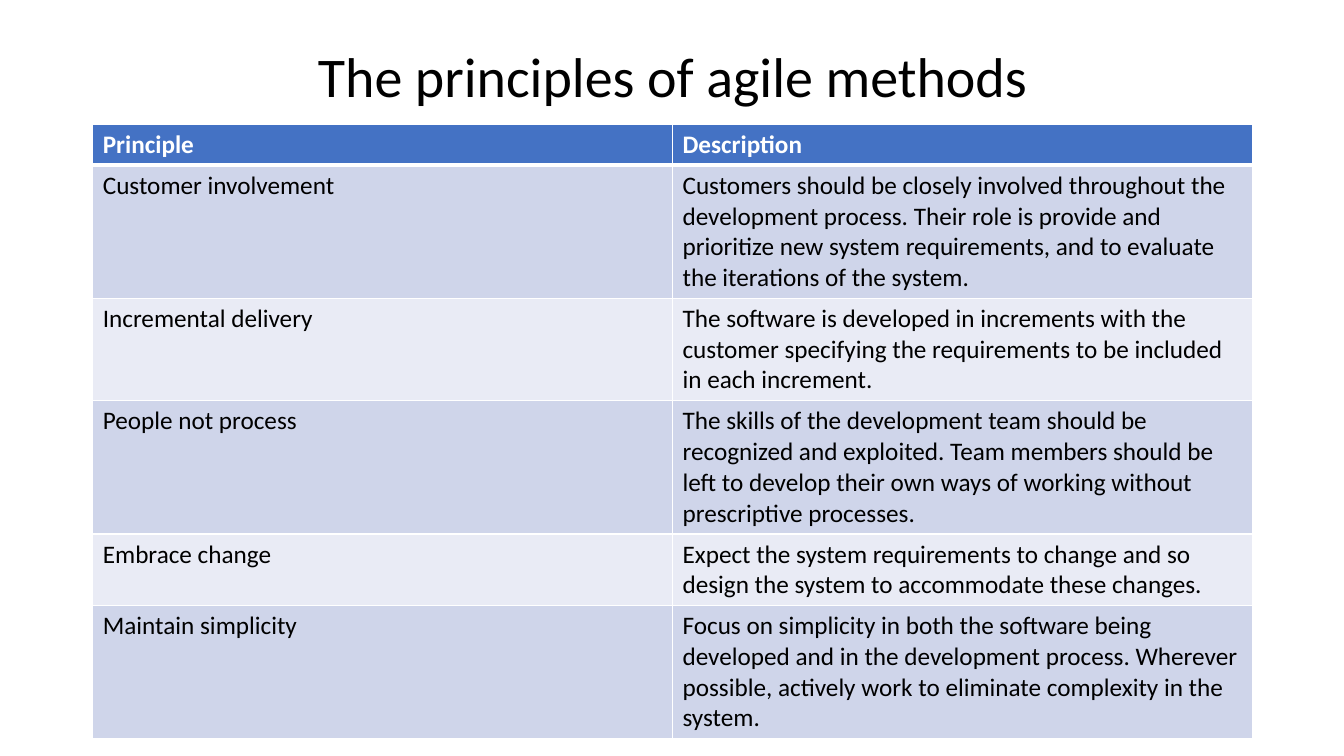
from lxml.etree import SubElement
from pptx import Presentation
from pptx.dml.color import RGBColor
from pptx.enum.text import MSO_ANCHOR as ANCHOR, PP_ALIGN as ALIGN
from pptx.oxml.ns import qn
from pptx.util import Inches, Pt

FONT = "Calibri"
WHITE, BLACK = "FFFFFF", "000000"
HEADER_FILL = "4472C4"
BAND_FILLS = ("CFD5EA", "E9EBF5")
HEADER_FORMAT = {"name": FONT, "size": Pt(18), "bold": True}
BODY_FORMAT = {"name": FONT, "size": Pt(18), "bold": False}
TITLE_FORMAT = {"name": FONT, "size": Pt(40), "bold": False}
LEFT, WIDTH = Inches(0.92), Inches(11.5)

PRINCIPLES = [
    ("Principle", "Description"),
    ("Customer involvement",
     "Customers should be closely involved throughout the development process. "
     "Their role is provide and prioritize new system requirements, and to "
     "evaluate the iterations of the system."),
    ("Incremental delivery",
     "The software is developed in increments with the customer specifying the "
     "requirements to be included in each increment."),
    ("People not process",
     "The skills of the development team should be recognized and exploited. "
     "Team members should be left to develop their own ways of working without "
     "prescriptive processes."),
    ("Embrace change",
     "Expect the system requirements to change and so design the system to "
     "accommodate these changes."),
    ("Maintain simplicity",
     "Focus on simplicity in both the software being developed and in the "
     "development process. Wherever possible, actively work to eliminate "
     "complexity in the system."),
]


def rgb(color):
    return RGBColor.from_string(color)


def set_attrs(obj, values):
    for name, value in values.items():
        setattr(obj, name, value)


def write(tf, text, fmt, color):
    p = tf.paragraphs[0]
    r = p.add_run()
    r.text = text
    set_attrs(r.font, fmt)
    r.font.color.rgb = rgb(color)
    return p


def add_borders(cell, widths, color):
    tc_pr = cell._tc.get_or_add_tcPr()
    for side, width in widths.items():
        ln = SubElement(tc_pr, qn(f"a:ln{side}"), w=str(Pt(width)))
        fill = SubElement(ln, qn("a:solidFill"))
        SubElement(fill, qn("a:srgbClr"), val=color)


def add_title(s, text):
    title = s.shapes.title
    set_attrs(title, {"left": LEFT, "top": Inches(0.35),
                      "width": WIDTH, "height": Inches(0.88)})
    tf = title.text_frame
    set_attrs(tf, {"vertical_anchor": ANCHOR.MIDDLE, "word_wrap": True})
    p = write(tf, text, TITLE_FORMAT, BLACK)
    set_attrs(p, {"alignment": ALIGN.CENTER, "line_spacing": 0.9})


def format_cell(cell, text, row):
    header = row == 0
    widths = {"L": 1, "R": 1, "T": 3 if row == 1 else 1, "B": 3 if header else 1}
    add_borders(cell, widths, WHITE)
    cell.fill.solid()
    cell.fill.fore_color.rgb = rgb(HEADER_FILL if header else BAND_FILLS[(row - 1) % 2])
    write(cell.text_frame, text, HEADER_FORMAT if header else BODY_FORMAT,
          WHITE if header else BLACK)


def add_principles_table(s, rows):
    row_height = Inches(0.41)
    table = s.shapes.add_table(len(rows), len(rows[0]), LEFT, Inches(1.23),
                               WIDTH, row_height * len(rows)).table
    for i, texts in enumerate(rows):
        table.rows[i].height = row_height
        for j, text in enumerate(texts):
            format_cell(table.cell(i, j), text, i)


def main():
    prs = Presentation()
    set_attrs(prs, {"slide_width": Inches(13.33), "slide_height": Inches(7.5)})
    s = prs.slides.add_slide(prs.slide_layouts[5])
    add_title(s, "The principles of agile methods")
    add_principles_table(s, PRINCIPLES)
    prs.save("out.pptx")


if __name__ == "__main__":
    main()
